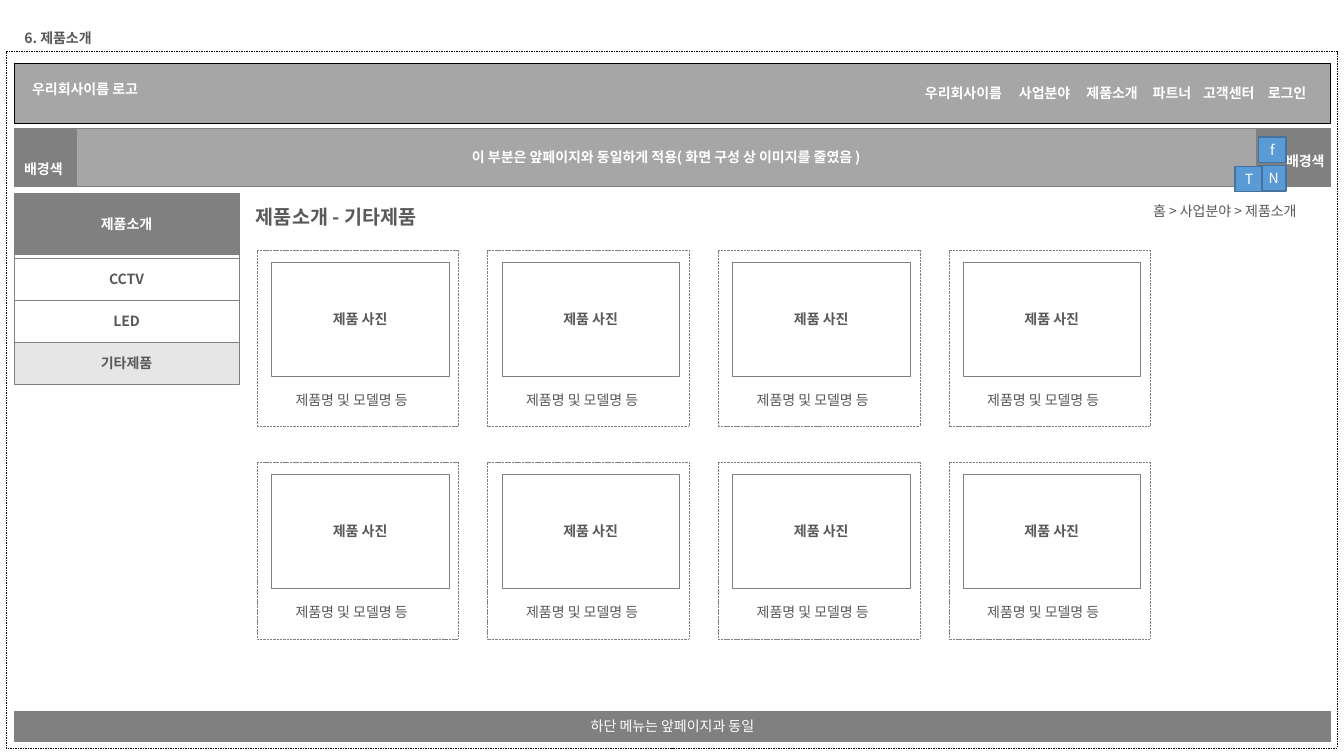
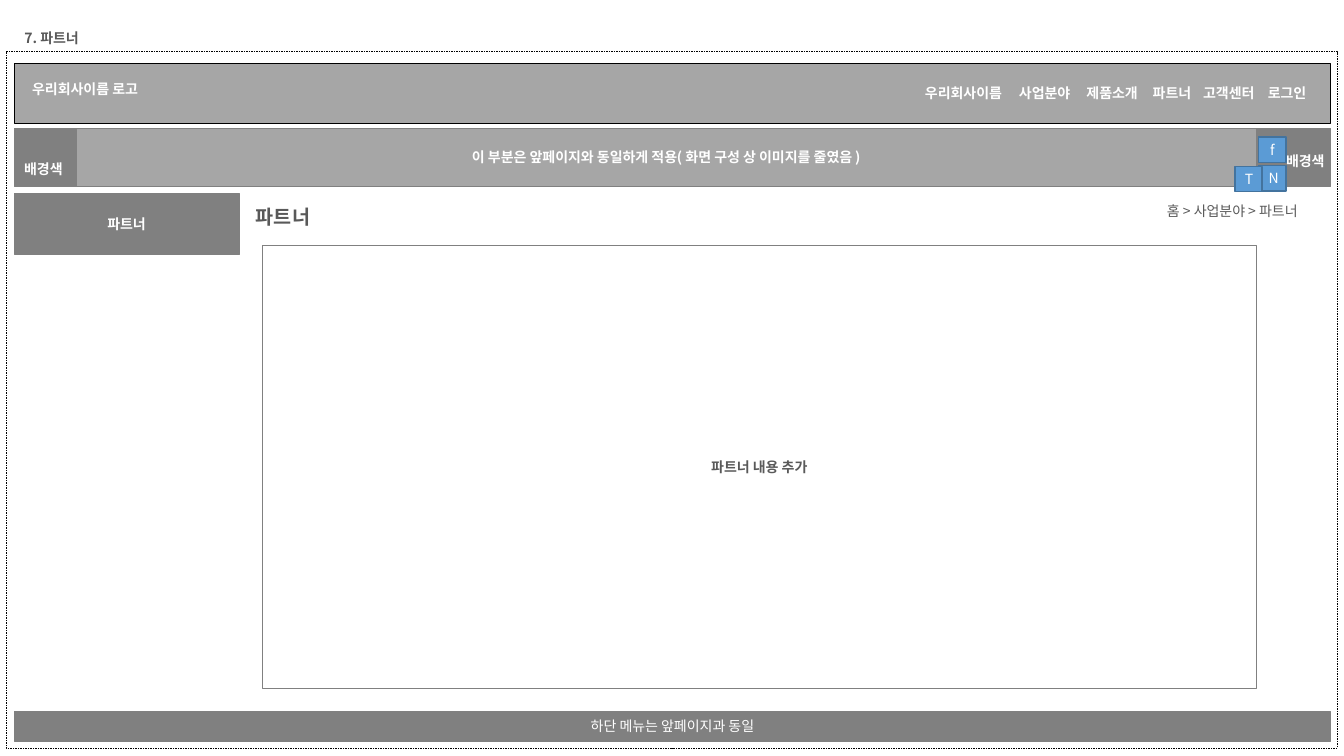
from dataclasses import dataclass
from itertools import product
from typing import Optional

from lxml.etree import SubElement
from pptx import Presentation
from pptx.dml.color import RGBColor
from pptx.enum.dml import MSO_LINE_DASH_STYLE as Dash
from pptx.enum.shapes import MSO_SHAPE as Preset, PP_PLACEHOLDER as Holder
from pptx.enum.text import MSO_ANCHOR as Anchor, MSO_AUTO_SIZE as AutoSize, PP_ALIGN as Align
from pptx.oxml.ns import qn
from pptx.slide import Slide, SlideLayout
from pptx.text.text import TextFrame
from pptx.util import Cm, Pt

FONT = "Noto Sans CJK KR"
COLORS = {
    "white": "FFFFFF",
    "black": "000000",
    "text": "595959",
    "dark": "808080",
    "mid": "A6A6A6",
    "light": "E7E6E6",
    "button": "5B9BD5",
    "button_line": "43739E",
}
MARGIN, FULL_WIDTH = 0.36, 33.17
SIDEBAR_TOP, SIDEBAR_WIDTH, SIDEBAR_HEAD = 4.88, 5.66, 1.52
LINE_HEIGHT = 0.69


@dataclass(frozen=True)
class Area:
    left: float
    top: float
    width: float
    height: float = LINE_HEIGHT


@dataclass(frozen=True)
class Type:
    color: str = "text"
    bold: bool = False
    size: int = 10


@dataclass(frozen=True)
class Look:
    fill: Optional[str] = None
    line: str = "dark"
    weight: float = 0.25
    dash: Optional[Dash] = None
    tight: bool = True


@dataclass(frozen=True)
class Label:
    text: str
    area: Area
    type: Type


PLAIN, STRONG, HEADING = Type(), Type(bold=True), Type(bold=True, size=14)
WHITE, WHITE_STRONG = Type("white"), Type("white", True)
OUTLINE, DARK = Look(), Look("dark")
BUTTON = Look("button", "button_line", 1, tight=False)

MENU = [
    Label(text, Area(left, 2.01, width), WHITE_STRONG)
    for text, left, width in [
        ("우리회사이름", 23.06, 2.64),
        ("사업분야", 25.43, 1.93),
        ("제품소개", 27.13, 1.93),
        ("파트너", 28.8, 1.57),
        ("고객센터", 30.07, 1.93),
        ("로그인", 31.7, 1.57),
    ]
]
HEADER_LABELS = [
    Label("우리회사이름 로고", Area(0.56, 1.9, 3.61), WHITE_STRONG),
    *MENU,
]
BANNER_LABELS = [
    Label("배경색", Area(MARGIN, 3.91, 1.57), WHITE_STRONG),
    Label("배경색", Area(32.16, 3.73, 1.57), WHITE_STRONG),
]
SOCIAL_BUTTONS = [("f", 31.72, 3.45), ("N", 31.72, 4.17), ("T", 31.12, 4.19)]


def rgb(name: str) -> RGBColor:
    return RGBColor.from_string(COLORS[name])


def write(frame: TextFrame, text: str, style: Type, align: Align) -> None:
    frame.text = text
    para = frame.paragraphs[0]
    para.alignment = align
    for span in para.runs:
        font = span.font
        font.name, font.size, font.bold = FONT, Pt(style.size), style.bold
        font.color.rgb = rgb(style.color)
        SubElement(font._element, qn("a:ea"), typeface=FONT)


def write_line(frame: TextFrame, text: str, style: Type) -> None:
    """Write one unwrapped line from the top left of its box."""
    write(frame, text, style, Align.LEFT)
    frame.word_wrap = False
    frame.auto_size = AutoSize.SHAPE_TO_FIT_TEXT
    frame.vertical_anchor = Anchor.TOP


def lengths(area: Area) -> tuple[Cm, Cm, Cm, Cm]:
    return Cm(area.left), Cm(area.top), Cm(area.width), Cm(area.height)


def add_label(page: Slide, label: Label) -> None:
    box = page.shapes.add_textbox(*lengths(label.area))
    write_line(box.text_frame, label.text, label.type)


def add_block(page: Slide, area: Area, look: Look, text: str = "", style: Type = STRONG) -> None:
    """Draw a rectangle with optional centred text."""
    block = page.shapes.add_shape(Preset.RECTANGLE, *lengths(area))
    block.shadow.inherit = False
    if look.fill:
        block.fill.solid()
        block.fill.fore_color.rgb = rgb(look.fill)
    else:
        block.fill.background()
    block.line.color.rgb = rgb(look.line)
    block.line.width = Pt(look.weight)
    if look.dash:
        block.line.dash_style = look.dash
    if text:
        frame = block.text_frame
        write(frame, text, style, Align.CENTER)
        frame.vertical_anchor = Anchor.MIDDLE
        if look.tight:
            frame.margin_left = frame.margin_right = Cm(0.1)
            frame.margin_top = frame.margin_bottom = Cm(0.05)


def add_site_frame(page: Slide) -> None:
    """Draw the header, footer and banner that every page has."""
    add_block(page, Area(MARGIN, 1.6, FULL_WIDTH, 1.5), Look("mid", "black"))
    for label in HEADER_LABELS:
        add_label(page, label)
    add_block(page, Area(0.15, 1.3, 33.55, 17.55), Look(line="black", dash=Dash.DASH))
    add_block(page, Area(MARGIN, 17.93, FULL_WIDTH, 0.74), DARK, "하단 메뉴는 앞페이지과 동일", WHITE)
    add_block(page, Area(MARGIN, 3.23, FULL_WIDTH, 1.47), DARK)
    add_block(page, Area(1.93, 3.23, 29.72, 1.47), Look("mid"),
              "이 부분은 앞페이지와 동일하게 적용( 화면 구성 상 이미지를 줄였음 )", WHITE_STRONG)
    for label in BANNER_LABELS:
        add_label(page, label)
    for letter, left, top in SOCIAL_BUTTONS:
        add_block(page, Area(left, top, 0.69, 0.64), BUTTON, letter, WHITE)


def move_to_layout(page: Slide, layout: SlideLayout) -> None:
    """Hand the page's drawn shapes to its layout, so all pages share them."""
    for holder in list(layout.placeholders):
        if holder.placeholder_format.type != Holder.TITLE:
            layout.shapes.element.remove(holder.element)
    for shape in list(page.shapes):
        if not shape.is_placeholder:
            layout.shapes.element.append(shape.element)


def set_title(page: Slide, text: str, width: float) -> None:
    title = page.shapes.title
    title.left, title.top, title.width, title.height = lengths(Area(MARGIN, 0.61, width))
    write_line(title.text_frame, text, STRONG)


def add_sidebar(page: Slide, section: str, items: tuple[str, ...] = (), current: str = "") -> None:
    add_block(page, Area(MARGIN, SIDEBAR_TOP, SIDEBAR_WIDTH, SIDEBAR_HEAD), DARK, section, WHITE_STRONG)
    if items:
        add_block(page, Area(MARGIN, SIDEBAR_TOP, SIDEBAR_WIDTH, 3.73), OUTLINE)
    for row, item in enumerate(items):
        look = Look("light" if item == current else "white")
        add_block(page, Area(MARGIN, 6.5 + row * 1.06, SIDEBAR_WIDTH, 1.06), look, item)


def add_heading(page: Slide, text: str, width: float) -> None:
    add_label(page, Label(text, Area(6.2, 5.05, width, 0.86), HEADING))


def add_breadcrumb(page: Slide, text: str, width: float) -> None:
    """Place the trail so that its box ends at the right margin."""
    left = MARGIN + FULL_WIDTH - width
    add_label(page, Label(text, Area(left, 4.98, width), PLAIN))


def add_product_card(page: Slide, left: float, top: float) -> None:
    add_block(page, Area(left + 0.36, top + 0.3, 4.47, 2.87), OUTLINE, "제품 사진")
    add_label(page, Label("제품명 및 모델명 등", Area(left + 0.72, top + 3.43, 3.73), PLAIN))
    add_block(page, Area(left, top, 5.08, 4.45), Look(dash=Dash.SQUARE_DOT))


def fill_products_page(page: Slide) -> None:
    set_title(page, "6. 제품소개", 2.36)
    add_sidebar(page, "제품소개", ("CCTV", "LED", "기타제품"), "기타제품")
    add_heading(page, "제품소개 - 기타제품", 5.05)
    add_breadcrumb(page, "홈 > 사업분야 > 제품소개", 4.72)
    for row, column in product(range(2), range(4)):
        add_product_card(page, 6.48 + column * 5.81, 6.3 + row * 5.35)


def fill_partners_page(page: Slide) -> None:
    set_title(page, "7. 파트너", 2.01)
    add_sidebar(page, "파트너")
    add_heading(page, "파트너", 2.01)
    add_breadcrumb(page, "홈 > 사업분야 > 파트너", 4.37)
    add_block(page, Area(6.6, 6.17, 25.07, 11.18), OUTLINE, "파트너 내용 추가")


def main() -> None:
    deck = Presentation()
    deck.slide_width, deck.slide_height = Cm(33.87), Cm(19.05)
    layout = deck.slide_layouts.get_by_name("Title Only")
    products, partners = (deck.slides.add_slide(layout) for _ in range(2))
    add_site_frame(products)
    move_to_layout(products, layout)
    fill_products_page(products)
    fill_partners_page(partners)
    deck.save("out.pptx")


if __name__ == "__main__":
    main()
